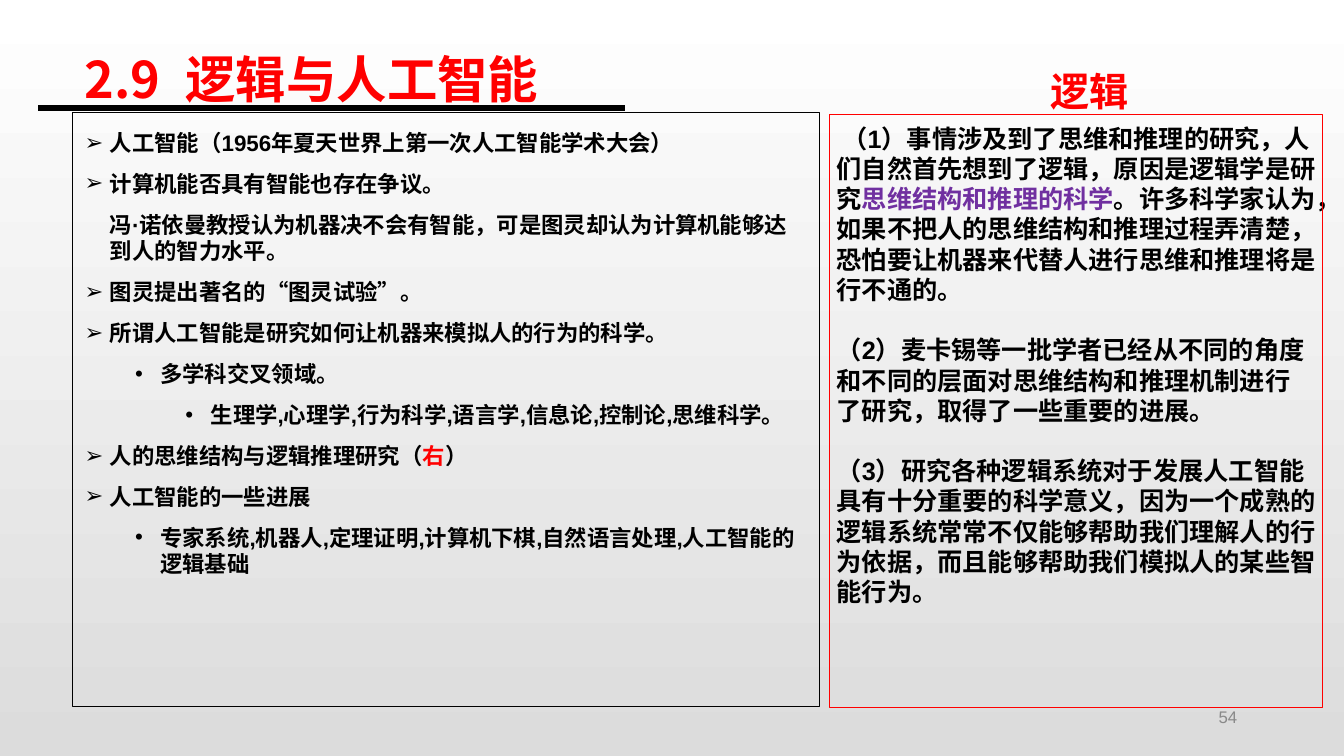
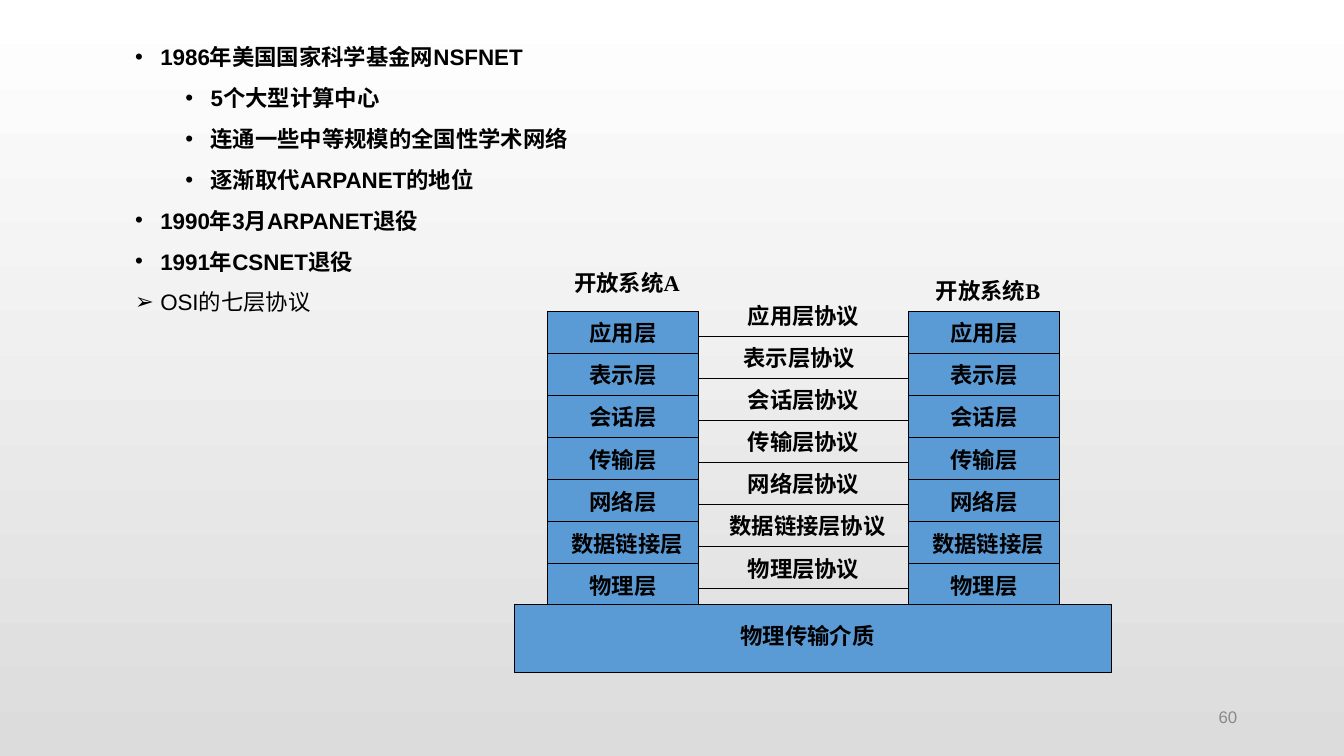
"""Two lecture slides: logic and artificial intelligence, and the seven OSI layers."""
import pptx
import pptx.util
import pptx.dml.color
import pptx.enum.shapes
import pptx.enum.text
import pptx.oxml.ns
from lxml import etree

Inches, Pt = pptx.util.Inches, pptx.util.Pt
qn = pptx.oxml.ns.qn
ALIGN = pptx.enum.text.PP_ALIGN
ANCHOR = pptx.enum.text.MSO_ANCHOR
RECTANGLE = pptx.enum.shapes.MSO_SHAPE.RECTANGLE
STRAIGHT = pptx.enum.shapes.MSO_CONNECTOR.STRAIGHT

COLORS = {"top": "FFFFFF", "bottom": "DCDCDC", "ink": "000000", "accent": "FF0000",
          "term": "7030A0", "layer": "5B9BD5", "number": "898989"}
SANS, SERIF, CJK = "Arial", "Times New Roman", "Noto Sans CJK SC"
LINE_RATIO = 1.2
BODY_INSETS = (0.11, 0, 0.09, 0)
NO_INSETS = (0, 0, 0, 0)
TEXT_INSETS = (0.1, 0.05, 0.1, 0.05)

TITLE = "2.9\t逻辑与人工智能"
AI_POINTS = [
    (0, "➢", "人工智能（1956年夏天世界上第一次人工智能学术大会）"),
    (0, "➢", "计算机能否具有智能也存在争议。"),
    (0, "", "冯·诺依曼教授认为机器决不会有智能，可是图灵却认为计算机能够达到人的智力水平。"),
    (0, "➢", "图灵提出著名的“图灵试验”。"),
    (0, "➢", "所谓人工智能是研究如何让机器来模拟人的行为的科学。"),
    (1, "•", "多学科交叉领域。"),
    (2, "•", "生理学,心理学,行为科学,语言学,信息论,控制论,思维科学。"),
    (0, "➢", [("人的思维结构与逻辑推理研究（", {}), ("右", {"color": "accent"}), ("）", {})]),
    (0, "➢", "人工智能的一些进展"),
    (1, "•", "专家系统,机器人,定理证明,计算机下棋,自然语言处理,人工智能的逻辑基础"),
]
LOGIC_HEADING = "逻辑"
LOGIC_POINTS = [
    (True, [(" （1）事情涉及到了思维和推理的研究，人们自然首先想到了逻辑，原因是逻辑学是研究", {}),
            ("思维结构和推理的科学", {"color": "term"}),
            ("。许多科学家认为，如果不把人的思维结构和推理过程弄清楚，"
             "恐怕要让机器来代替人进行思维和推理将是行不通的。", {})]),
    (False, "（2）麦卡锡等一批学者已经从不同的角度和不同的层面对思维结构和推理机制进行"),
    (True, "了研究，取得了一些重要的进展。"),
    (False, "（3）研究各种逻辑系统对于发展人工智能具有十分重要的科学意义，"
            "因为一个成熟的逻辑系统常常不仅能够帮助我们理解人的行为依据，"
            "而且能够帮助我们模拟人的某些智能行为。"),
]
NETWORK_POINTS = [
    (1, "•", "1986年美国国家科学基金网NSFNET"),
    (2, "•", "5个大型计算中心"),
    (2, "•", "连通一些中等规模的全国性学术网络"),
    (2, "•", "逐渐取代ARPANET的地位"),
    (1, "•", "1990年3月ARPANET退役"),
    (1, "•", "1991年CSNET退役"),
    (1, "➢", [("OSI的七层协议", {"bold": False})]),
]
LAYERS = ["应用层", "表示层", "会话层", "传输层", "网络层", "数据链接层", "物理层"]
NUDGES = {"数据链接层": 0.04, "表示层协议": -0.04, "数据链接层协议": 0.04}
SYSTEMS = [("开放系统A", 5.43, 2.67), ("开放系统B", 9.01, 2.75)]
MEDIUM = "物理传输介质"

STACK_TOP, STACK_WIDTH, STACK_HEIGHT = 3.09, 1.5, 2.92
LAYER_STEP = STACK_HEIGHT / len(LAYERS)
LABEL_WIDTH, LABEL_HEIGHT = 1.8, 0.27


def rgb(name):
    return pptx.dml.color.RGBColor.from_string(COLORS[name])


def add_text_frame(slide, at, insets=TEXT_INSETS, anchor=ANCHOR.TOP):
    frame = slide.shapes.add_textbox(*map(Inches, at)).text_frame
    frame.word_wrap = True
    frame.vertical_anchor = anchor
    (frame.margin_left, frame.margin_top,
     frame.margin_right, frame.margin_bottom) = map(Inches, insets)
    return frame


def add_paragraph(frame, content, size, font=SANS, color="ink", bold=True, align=ALIGN.LEFT,
                  after=0, exact=True):
    first = frame.paragraphs[0]
    paragraph = frame.add_paragraph() if first.runs else first
    paragraph.alignment = align
    paragraph.space_after = Pt(after)
    if exact:
        paragraph.line_spacing = Pt(LINE_RATIO * size)
    pieces = [(content, {})] if isinstance(content, str) else content
    for words, style in pieces:
        run = paragraph.add_run()
        run.text = words
        run.font.size = Pt(size)
        run.font.name = font
        run.font.bold = style.get("bold", bold)
        run.font.color.rgb = rgb(style.get("color", color))
        etree.SubElement(run.font._element, qn("a:ea"), typeface=CJK)
    return paragraph


def set_indent(paragraph, margin, first_line):
    properties = paragraph._p.get_or_add_pPr()
    properties.set("marL", str(Inches(margin)))
    properties.set("indent", str(Inches(first_line)))
    return properties


def add_bullets(slide, at, points):
    frame = add_text_frame(slide, at, BODY_INSETS)
    for level, bullet, content in points:
        paragraph = add_paragraph(frame, content, 16, after=10)
        paragraph.level = level
        properties = set_indent(paragraph, 0.25 + 0.5 * level, -0.25 if bullet else 0)
        if bullet:
            etree.SubElement(properties, qn("a:buFont"), typeface=SANS)
            etree.SubElement(properties, qn("a:buChar"), char=bullet)


def add_rectangle(slide, at, line="ink", fill=None):
    box = slide.shapes.add_shape(RECTANGLE, *map(Inches, at))
    box.shadow.inherit = False
    if fill:
        box.fill.solid()
        box.fill.fore_color.rgb = rgb(fill)
    else:
        box.fill.background()
    box.line.color.rgb = rgb(line)
    box.line.width = Pt(0.75)


def add_line(slide, left, right, y, width=0.75):
    rule = slide.shapes.add_connector(STRAIGHT, *map(Inches, (left, y, right, y)))
    rule.line.color.rgb = rgb("ink")
    rule.line.width = Pt(width)
    etree.SubElement(rule._element.spPr, qn("a:effectLst"))


def add_label(slide, words, center, top):
    left = center + NUDGES.get(words, 0) - LABEL_WIDTH / 2
    frame = add_text_frame(slide, (left, top, LABEL_WIDTH, LABEL_HEIGHT), NO_INSETS)
    add_paragraph(frame, words, 16, SERIF, align=ALIGN.CENTER)


def add_slide(deck, number):
    slide = deck.slides.add_slide(deck.slide_layouts[6])
    frame = add_text_frame(slide, (9.42, 6.94, 2.95, 0.35), anchor=ANCHOR.MIDDLE)
    add_paragraph(frame, number, 12, color="number", bold=False, align=ALIGN.RIGHT, exact=False)
    return slide


def set_background(deck):
    fill = deck.slide_master.background.fill
    fill.gradient()
    fill.gradient_angle = 270
    for stop, position, name in zip(fill.gradient_stops, (0, 1), ("top", "bottom")):
        stop.position = position
        stop.color.rgb = rgb(name)


def build_logic_slide(deck):
    slide = add_slide(deck, "54")
    title = add_text_frame(slide, (0.73, 0.42, 11.87, 0.71), (0.11, 0.04, 0.08, 0.04),
                           ANCHOR.MIDDLE)
    set_indent(add_paragraph(title, TITLE, 36, CJK, "accent", exact=False), 1, -1)
    add_bullets(slide, (0.73, 1.28, 7.32, 5.76), AI_POINTS)
    add_rectangle(slide, (0.72, 1.12, 7.41, 5.89))
    logic = add_text_frame(slide, (8.2, 1.17, 4.99, 5.55))
    for ends_point, content in LOGIC_POINTS:
        add_paragraph(logic, content, 18, after=LINE_RATIO * 18 if ends_point else 0)
    heading = add_text_frame(slide, (10.32, 0.62, 1.36, 0.57))
    add_paragraph(heading, LOGIC_HEADING, 28, color="accent")
    add_rectangle(slide, (8.23, 1.14, 4.89, 5.88), line="accent")
    add_line(slide, 0.38, 6.2, 1.07, 4)


def build_network_slide(deck):
    slide = add_slide(deck, "60")
    add_bullets(slide, (0.73, 0.43, 11.87, 5.51), NETWORK_POINTS)
    for system, left, heading_top in SYSTEMS:
        center = left + STACK_WIDTH / 2
        add_rectangle(slide, (left, STACK_TOP, STACK_WIDTH, STACK_HEIGHT), fill="layer")
        add_label(slide, system, center + 0.04, heading_top)
        for index, layer in enumerate(LAYERS):
            top = STACK_TOP + index * LAYER_STEP
            add_label(slide, layer, center, top + 0.08)
            if index:
                add_line(slide, left, left + STACK_WIDTH, top)
    link_left, link_right = SYSTEMS[0][1] + STACK_WIDTH, SYSTEMS[1][1]
    middle = (link_left + link_right) / 2
    for index, layer in enumerate(LAYERS):
        top = STACK_TOP + index * LAYER_STEP
        add_label(slide, layer + "协议", middle, top - 0.09)
        add_line(slide, link_left, link_right, top + 0.25)
    add_rectangle(slide, (5.1, 6, 5.92, 0.67), fill="layer")
    add_label(slide, MEDIUM, 8.01, 6.17)


def main():
    deck = pptx.Presentation()
    deck.slide_width, deck.slide_height = Inches(13.33), Inches(7.5)
    set_background(deck)
    build_logic_slide(deck)
    build_network_slide(deck)
    deck.save("out.pptx")


if __name__ == "__main__":
    main()
